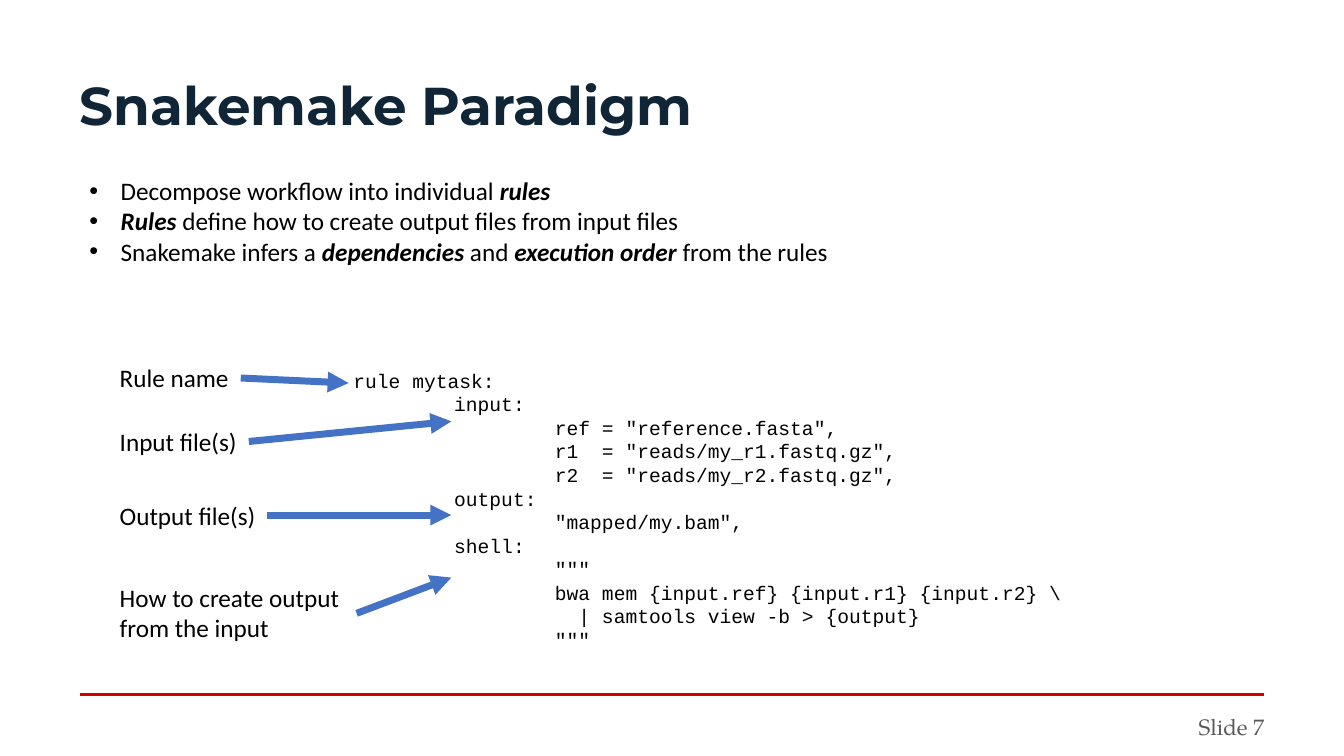
"""Build the Snakemake Paradigm slide: key points, annotated rule and arrows."""
import pptx
import pptx.util
import pptx.dml.color
import pptx.enum.shapes
import pptx.enum.text
import pptx.oxml
import pptx.oxml.ns

Inches, Pt = pptx.util.Inches, pptx.util.Pt
ALIGN = pptx.enum.text.PP_ALIGN
NAMESPACE = pptx.oxml.ns.nsdecls("a")
MARGIN, CONTENT_WIDTH = 0.79, 11.76
RIGHT = MARGIN + CONTENT_WIDTH
LABEL_LEFT = 1.09
BODY = {"name": "Calibri", "size": Pt(18), "color": "000000"}
CODE = {"name": "Courier New", "size": Pt(14), "color": "000000"}
TITLE = {"name": "Montserrat", "size": Pt(38), "bold": True, "color": "102535"}
FOOTER = {"name": "TeX Gyre Pagella", "size": Pt(16), "color": "595959"}

deck = pptx.Presentation()
deck.slide_width, deck.slide_height = Inches(13.34), Inches(7.5)
page = deck.slides.add_slide(deck.slide_layouts[5])


def write(box, place, lines, style, inset=None, wrap=True, align=ALIGN.LEFT):
    """Place a box and fill it; text between asterisks is bold italic."""
    box.left, box.top, box.width, box.height = map(Inches, place)
    frame = box.text_frame
    frame.auto_size = pptx.enum.text.MSO_AUTO_SIZE.NONE
    frame.vertical_anchor = pptx.enum.text.MSO_ANCHOR.TOP
    frame.word_wrap = wrap
    if inset is not None:
        for side in ("left", "top", "right", "bottom"):
            setattr(frame, f"margin_{side}", Inches(inset))
    for number, line in enumerate(lines):
        para = frame.paragraphs[0] if number == 0 else frame.add_paragraph()
        para.alignment = align
        for part, words in enumerate(line.split("*")):
            if not words:
                continue
            span = para.add_run()
            span.text = words
            emphasis = {"bold": True, "italic": True} if part % 2 else {}
            for key, value in (style | emphasis).items():
                if key == "color":
                    span.font.color.rgb = pptx.dml.color.RGBColor.from_string(value)
                else:
                    setattr(span.font, key, value)
    return box


def draw_line(start, end, color, width):
    """Draw a straight line without a shadow."""
    line = page.shapes.add_connector(
        pptx.enum.shapes.MSO_CONNECTOR.STRAIGHT, *map(Inches, start + end))
    line.line.color.rgb = pptx.dml.color.RGBColor.from_string(color)
    line.line.width = Pt(width)
    line._element.spPr.append(pptx.oxml.parse_xml(f"<a:effectLst {NAMESPACE}/>"))
    return line


draw_line((MARGIN, 6.89), (RIGHT, 6.89), "D40000", 2.5)

title = write(page.shapes.title, (MARGIN, MARGIN, CONTENT_WIDTH, 1.18),
              ["Snakemake Paradigm"], TITLE, inset=0)
title.text_frame.paragraphs[0].line_spacing = 0.9

write(page.shapes.add_textbox(0, 0, 0, 0), (RIGHT - 2.63, 7.08, 2.63, 0.2),
      ["Slide 7"], FOOTER, inset=0, align=ALIGN.RIGHT)

points = write(page.shapes.add_textbox(0, 0, 0, 0), (MARGIN, 1.69, CONTENT_WIDTH, 1.01), [
    "Decompose workflow into individual *rules*",
    "*Rules* define how to create output files from input files",
    "Snakemake infers a *dependencies* and *execution order* from the rules",
], BODY)
for para in points.text_frame.paragraphs:
    properties = para._p.get_or_add_pPr()
    properties.set("marL", str(Inches(0.31)))
    properties.set("indent", str(-Inches(0.31)))
    for bullet in ('buFont {} typeface="Arial"', 'buChar {} char="•"'):
        properties.append(pptx.oxml.parse_xml(f"<a:{bullet.format(NAMESPACE)}/>"))

code = write(page.shapes.add_textbox(0, 0, 0, 0), (3.41, 3.61, 7.55, 2.93), [
    "rule mytask:",
    "\tinput:",
    '\t\tref = "reference.fasta",',
    '\t\tr1  = "reads/my_r1.fastq.gz",',
    '\t\tr2  = "reads/my_r2.fastq.gz",',
    "\toutput:",
    '\t\t"mapped/my.bam",',
    "\tshell:",
    '\t\t"""',
    "\t\tbwa mem {input.ref} {input.r1} {input.r2} \\",
    "\t\t  | samtools view -b > {output}",
    '\t\t"""',
], CODE)
stops = "".join(f'<a:tab pos="{Inches(column)}" algn="l"/>' for column in (1, 2))
for para in code.text_frame.paragraphs:
    para._p.get_or_add_pPr().append(pptx.oxml.parse_xml(
        f"<a:tabLst {NAMESPACE}>{stops}</a:tabLst>"))

LABELS = [
    ("Rule name", 3.55, 1.3, 0.4, False, (3.46, 3.8)),
    ("Input file(s)", 4.18, 1.38, 0.4, False, (4.48, 4.18)),
    ("Output file(s)", 4.91, 1.56, 0.4, False, (4.48, 5.11)),
    ("How to create output from the input", 5.73, 2.45, 0.71, True, (4.48, 5.73)),
]
for text, top, width, height, wrap, target in LABELS:
    label = write(page.shapes.add_textbox(0, 0, 0, 0), (LABEL_LEFT, top, width, height),
                  [text], BODY, wrap=wrap)
    arrow = draw_line((LABEL_LEFT + width, top + height / 2), target, "4472C4", 5)
    arrow.begin_connect(label, 3)
    arrow.line._get_or_add_ln().append(pptx.oxml.parse_xml(
        f'<a:tailEnd {NAMESPACE} type="triangle"/>'))

deck.save("out.pptx")
